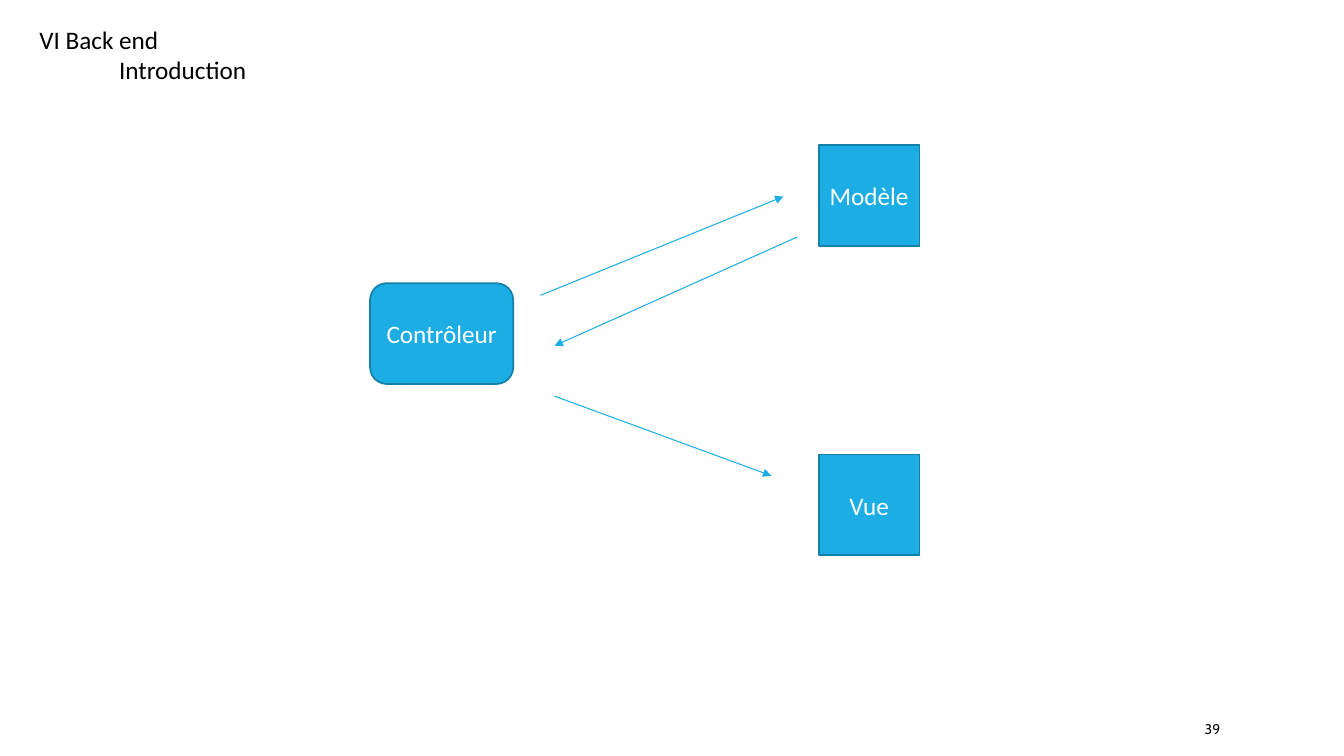
from dataclasses import dataclass

from lxml.etree import SubElement
from pptx import Presentation
from pptx.dml.color import RGBColor
from pptx.enum.shapes import MSO_CONNECTOR, MSO_SHAPE
from pptx.enum.text import MSO_ANCHOR, MSO_AUTO_SIZE, PP_ALIGN
from pptx.oxml.ns import qn
from pptx.slide import Slide
from pptx.text.text import _Paragraph
from pptx.util import Inches, Pt

COLORS = {
    "fill": "1CADE4",
    "border": "1580A9",
    "title": "000000",
    "number": "0D0D0D",
    "label": "FFFFFF",
}


@dataclass
class Box:
    label: str
    left: float
    top: float
    width: float = 1
    height: float = 1
    kind: MSO_SHAPE = MSO_SHAPE.RECTANGLE


@dataclass
class Arrow:
    start: tuple[float, float]
    end: tuple[float, float]


BOXES = [
    Box("Modèle", 8.12, 1.44),
    Box("Vue", 8.12, 4.51),
    Box("Contrôleur", 3.67, 2.81, width=1.42, kind=MSO_SHAPE.ROUNDED_RECTANGLE),
]
ARROWS = [
    Arrow((5.5, 3.93), (7.65, 4.72)),
    Arrow((5.36, 2.93), (7.77, 1.95)),
    Arrow((7.91, 2.35), (5.5, 3.43)),
]


def color(name: str) -> RGBColor:
    return RGBColor.from_string(COLORS[name])


def add_run(p: _Paragraph, text: str, color_name: str,
            size: float = 18, font: str = "Calibri") -> None:
    r = p.add_run()
    r.text = text
    r.font.size = Pt(size)
    r.font.name = font
    r.font.color.rgb = color(color_name)


def add_title(s: Slide) -> None:
    title = s.shapes.title
    title.left, title.top = Inches(0.29), Inches(0.19)
    title.width, title.height = Inches(3), Inches(0.71)
    tf = title.text_frame
    tf.vertical_anchor = MSO_ANCHOR.TOP
    tf.auto_size = MSO_AUTO_SIZE.SHAPE_TO_FIT_TEXT
    chapter, section = tf.paragraphs[0], tf.add_paragraph()
    section._p.get_or_add_pPr().set("marL", str(Inches(0.79)))
    for p, text in ((chapter, "VI Back end"), (section, "Introduction")):
        p.alignment = PP_ALIGN.LEFT
        add_run(p, text, "title")


def add_box(s: Slide, box: Box) -> None:
    sp = s.shapes.add_shape(box.kind, Inches(box.left), Inches(box.top),
                            Inches(box.width), Inches(box.height))
    sp.shadow.inherit = False
    sp.fill.solid()
    sp.fill.fore_color.rgb = color("fill")
    sp.line.color.rgb = color("border")
    sp.line.width = Pt(1.25)
    tf = sp.text_frame
    tf.margin_left = tf.margin_right = Inches(0.05)
    tf.vertical_anchor = MSO_ANCHOR.MIDDLE
    p = tf.paragraphs[0]
    p.alignment = PP_ALIGN.CENTER
    add_run(p, box.label, "label")


def add_arrow(s: Slide, arrow: Arrow) -> None:
    ends = [Inches(v) for v in (*arrow.start, *arrow.end)]
    cxn = s.shapes.add_connector(MSO_CONNECTOR.STRAIGHT, *ends)
    cxn.line.color.rgb = color("fill")
    cxn.line.width = Pt(0.75)
    SubElement(cxn.line._get_or_add_ln(), qn("a:tailEnd"), type="triangle")
    SubElement(cxn._element.spPr, qn("a:effectLst"))


def add_page_number(s: Slide, number: int) -> None:
    sp = s.shapes.add_textbox(Inches(11.85), Inches(7.08), Inches(1.06), Inches(0.3))
    tf = sp.text_frame
    tf.word_wrap = True
    tf.vertical_anchor = MSO_ANCHOR.MIDDLE
    add_run(tf.paragraphs[0], str(number), "number", size=10, font="Cabin")


def main() -> None:
    prs = Presentation()
    prs.slide_width, prs.slide_height = Inches(13.33), Inches(7.5)
    s = prs.slides.add_slide(prs.slide_layouts.get_by_name("Title Only"))
    add_page_number(s, 39)
    add_title(s)
    for box in BOXES:
        add_box(s, box)
    for arrow in ARROWS:
        add_arrow(s, arrow)
    prs.save("out.pptx")


if __name__ == "__main__":
    main()
